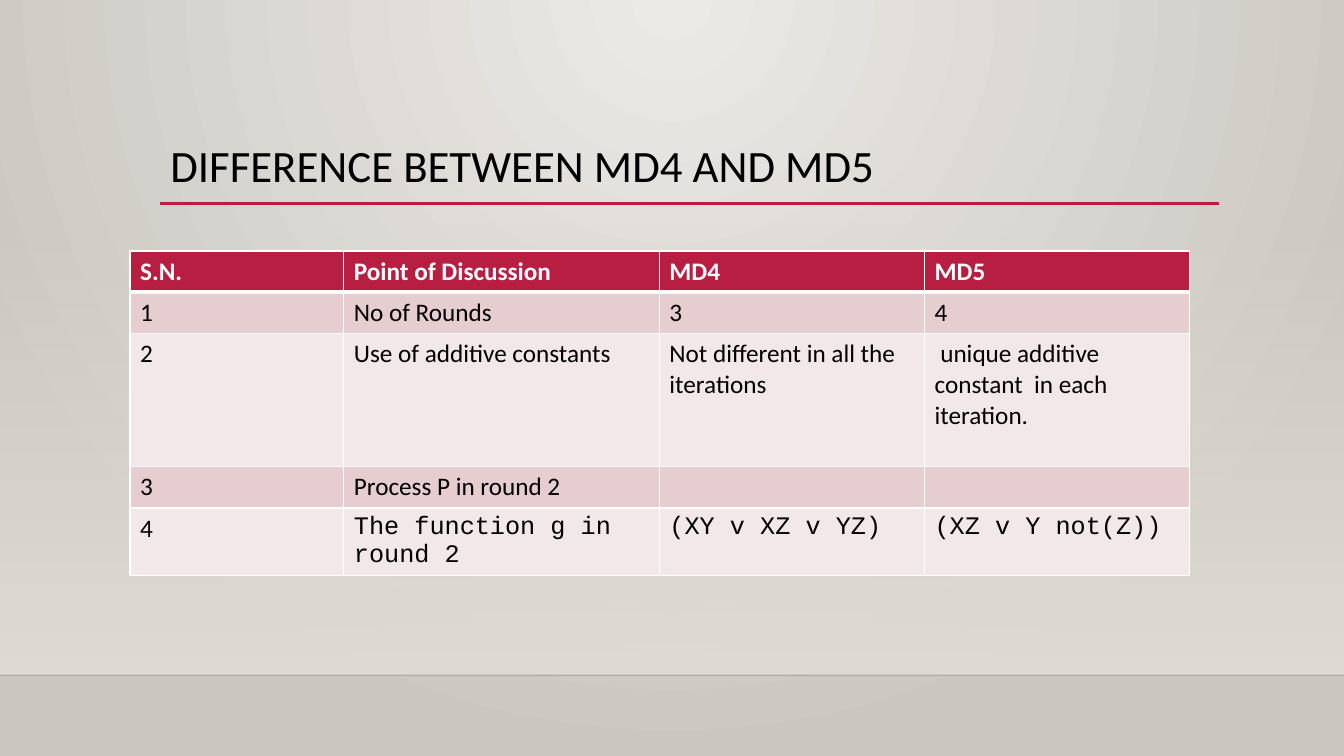
from dataclasses import dataclass

import pptx
import pptx.dml.color
import pptx.enum.shapes
import pptx.enum.text
import pptx.oxml
import pptx.oxml.ns
import pptx.util

Inches = pptx.util.Inches
RGB = pptx.dml.color.RGBColor.from_string
TITLE_ONLY = 5


@dataclass(frozen=True)
class Theme:
    accent: str = "B71E42"
    ink: str = "000000"
    paper: str = "FFFFFF"
    band_dark: str = "E6CDCF"
    band_light: str = "F3E8E9"
    wall_light: str = "ECEAE7"
    wall_dark: str = "CAC7C1"
    floor: str = "DFDBD5"
    body_font: str = "Calibri"
    code_font: str = "Courier New"
    title_size: int = 32
    table_size: int = 18


THEME = Theme()
COLUMN_WIDTHS = (2.12, 3.13, 2.63, 2.63)
ROW_HEIGHTS = (0.41, 0.41, 1.32, 0.41, 0.66)
ROWS = (
    ("S.N.", "Point of Discussion", "MD4", "MD5"),
    ("1", "No of Rounds", "3", "4"),
    ("2", "Use of additive constants", "Not different in all the iterations",
     " unique additive constant  in each iteration."),
    ("3", "Process P in round 2", "", ""),
    ("4", "The function g in round 2", "(XY v XZ v YZ)", "(XZ v Y not(Z))"),
)


def apply(target, formats):
    for name, value in formats.items():
        setattr(target, name, value)


def format_font(font, color, **formats):
    apply(font, formats)
    font.color.rgb = RGB(color)


def element(xml):
    """Parse one drawing element, adding the namespace to its first tag."""
    tag, rest = xml.split(" ", 1)
    return pptx.oxml.parse_xml(f"{tag} {pptx.oxml.ns.nsdecls('a')} {rest}")


def set_gradient(fill, properties, stops, direction):
    """Fill with (position, colour, opacity) stops, all in percent."""
    fill.gradient()
    listed = "".join(
        f'<a:gs pos="{place * 1000}"><a:srgbClr val="{color}">'
        f'<a:alpha val="{opacity * 1000}"/></a:srgbClr></a:gs>'
        for place, color, opacity in stops)
    gradient = element(f'<a:gradFill rotWithShape="1"><a:gsLst>{listed}</a:gsLst>'
                       f'{direction}</a:gradFill>')
    old = properties.find(pptx.oxml.ns.qn("a:gradFill"))
    properties.replace(old, gradient)


def add_rule(page, left, top, width, color, points, opacity=100):
    rule = page.shapes.add_connector(
        pptx.enum.shapes.MSO_CONNECTOR.STRAIGHT,
        Inches(left), Inches(top), Inches(left + width), Inches(top))
    rule.line.width = pptx.util.Pt(points)
    rule.line.color.rgb = RGB(color)
    properties = rule._element.spPr
    for shade in properties.iter(pptx.oxml.ns.qn("a:srgbClr")):
        shade.append(element(f'<a:alpha val="{opacity * 1000}"/>'))
    properties.append(element("<a:effectLst />"))


def paint_backdrop(page, width, height):
    background = page.background.fill
    set_gradient(background, page._element.cSld.bg.bgPr,
                 ((0, THEME.wall_light, 100), (100, THEME.wall_dark, 100)),
                 '<a:path path="circle"><a:fillToRect l="43000" t="0" '
                 'r="43000" b="100000"/></a:path>')
    haze_top, floor_top = 2.21, height - 0.8
    haze = page.shapes.add_shape(
        pptx.enum.shapes.MSO_SHAPE.RECTANGLE, 0, Inches(haze_top),
        Inches(width), Inches(floor_top - haze_top))
    haze.shadow.inherit = False
    haze.line.fill.background()
    set_gradient(haze.fill, haze._element.spPr,
                 ((0, THEME.floor, 0), (100, THEME.floor, 100)),
                 '<a:lin ang="5400000" scaled="0"/>')
    add_rule(page, 0, floor_top, width, THEME.ink, 1, opacity=20)


def place_title(page, left, top, width, height, text):
    title = page.shapes.title
    apply(title, {"left": Inches(left), "top": Inches(top),
                  "width": Inches(width), "height": Inches(height)})
    frame = title.text_frame
    apply(frame, {"text": text, "word_wrap": True,
                  "auto_size": pptx.enum.text.MSO_AUTO_SIZE.NONE,
                  "vertical_anchor": pptx.enum.text.MSO_ANCHOR.BOTTOM,
                  "margin_bottom": Inches(0.12)})
    para = frame.paragraphs[0]
    apply(para, {"alignment": pptx.enum.text.PP_ALIGN.LEFT, "line_spacing": 0.9})
    format_font(para.runs[0].font, THEME.ink, name=THEME.body_font,
                size=pptx.util.Pt(THEME.title_size))
    add_rule(page, left, top + height - 0.01, width, THEME.accent, 2.5)


def set_borders(cell, top=1, bottom=1):
    properties = cell._tc.get_or_add_tcPr()
    for side, points in {"L": 1, "R": 1, "T": top, "B": bottom}.items():
        properties.append(element(
            f'<a:ln{side} w="{pptx.util.Pt(points)}"><a:solidFill>'
            f'<a:srgbClr val="{THEME.paper}"/></a:solidFill></a:ln{side}>'))


def fill_cell(cell, row, column, text):
    header = row == 0
    band = THEME.band_dark if row % 2 else THEME.band_light
    set_borders(cell, top=3 if row == 1 else 1, bottom=3 if header else 1)
    cell.fill.solid()
    cell.fill.fore_color.rgb = RGB(THEME.accent if header else band)
    cell.text = text
    is_code = row == len(ROWS) - 1 and column > 0
    format_font(cell.text_frame.paragraphs[0].font if not text
                else cell.text_frame.paragraphs[0].runs[0].font,
                THEME.paper if header else THEME.ink,
                name=THEME.code_font if is_code else THEME.body_font,
                size=pptx.util.Pt(THEME.table_size), bold=header)


def add_comparison(page, left, top):
    table = page.shapes.add_table(
        len(ROWS), len(COLUMN_WIDTHS), Inches(left), Inches(top),
        Inches(sum(COLUMN_WIDTHS)), Inches(sum(ROW_HEIGHTS))).table
    for column, width in zip(table.columns, COLUMN_WIDTHS):
        column.width = Inches(width)
    for row, height in zip(table.rows, ROW_HEIGHTS):
        row.height = Inches(height)
    for row, texts in enumerate(ROWS):
        for column, text in enumerate(texts):
            fill_cell(table.cell(row, column), row, column, text)


def main():
    width, height = 13.33, 7.5
    deck = pptx.Presentation()
    apply(deck, {"slide_width": Inches(width), "slide_height": Inches(height)})
    page = deck.slides.add_slide(deck.slide_layouts[TITLE_ONLY])
    paint_backdrop(page, width, height)
    place_title(page, 1.59, 0.88, 10.5, 1.15, "DIFFERENCE BETWEEN MD4 AND MD5")
    add_comparison(page, 1.29, 2.49)
    deck.save("out.pptx")


if __name__ == "__main__":
    main()
